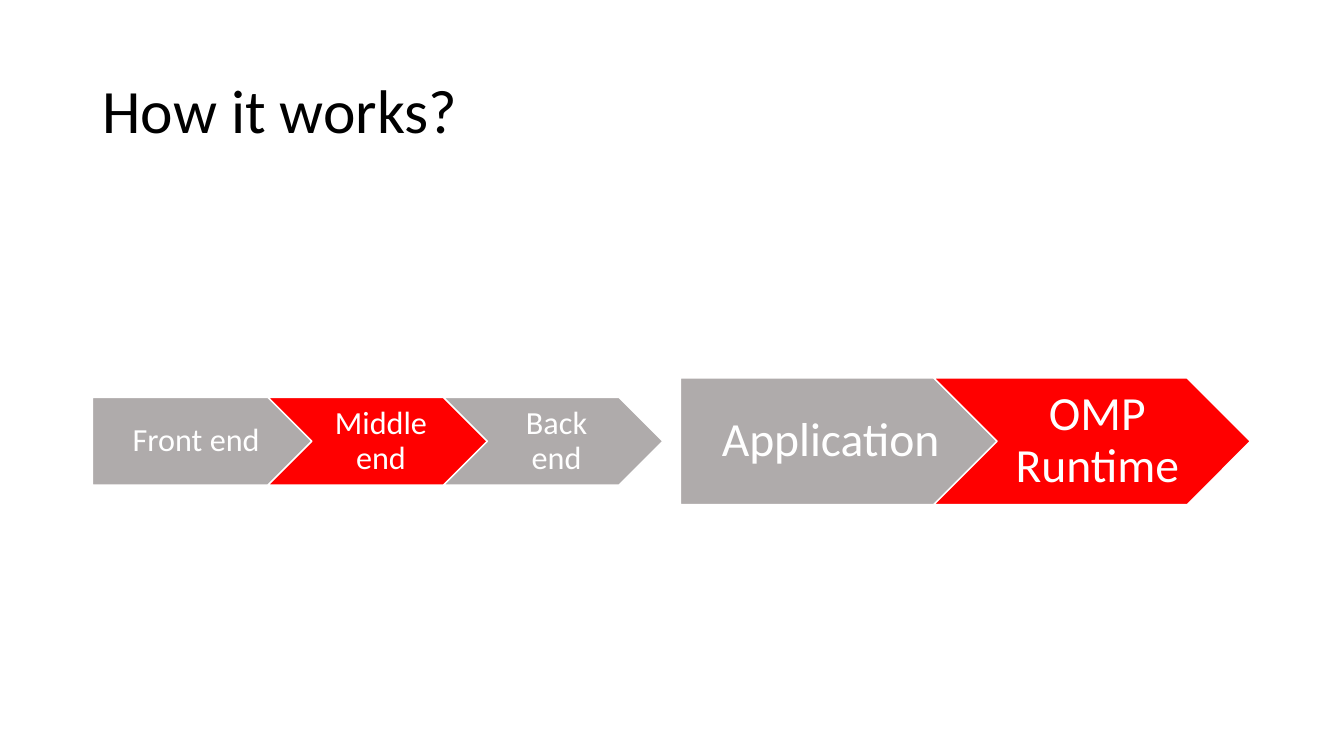
"""Build the slide that shows the compiler stages and the running program as two arrow chains."""
from pptx import Presentation
from pptx.dml.color import RGBColor
from pptx.enum.shapes import MSO_SHAPE
from pptx.enum.text import MSO_ANCHOR, MSO_AUTO_SIZE, PP_ALIGN
from pptx.util import Cm, Pt

COLOURS = {"stage": "AFABAB", "openmp": "FF0000", "light": "FFFFFF", "title": "000000"}
TITLE = "How it works?"
CHAINS = [
    {"left": 2.33, "width": 5.53, "size": 23, "inset": 0.085,
     "stages": [("Front end", "stage"), ("Middle end", "openmp"), ("Back end", "stage")]},
    {"left": 17.15, "width": 7.98, "size": 34, "inset": 0.13,
     "stages": [("Application", "stage"), ("OMP Runtime", "openmp")]},
]
CHAIN_MIDDLE = 11.12
HEIGHT_RATIO = 0.4
STEP_RATIO = 0.8


def colour(name):
    return RGBColor.from_string(COLOURS[name])


def write(frame, text, size, ink, align=PP_ALIGN.CENTER, space_after=0, insets=None):
    frame.word_wrap = True
    frame.auto_size = MSO_AUTO_SIZE.NONE
    frame.vertical_anchor = MSO_ANCHOR.MIDDLE
    if insets:
        (frame.margin_left, frame.margin_top,
         frame.margin_right, frame.margin_bottom) = map(Cm, insets)
    paragraph = frame.paragraphs[0]
    paragraph.alignment = align
    paragraph.line_spacing = 0.9
    paragraph.space_after = Pt(space_after)
    run = paragraph.add_run()
    run.text = text
    run.font.name = "Calibri"
    run.font.size = Pt(size)
    run.font.color.rgb = colour(ink)


def add_chain(slide, left, width, size, inset, stages):
    chain = slide.shapes.add_group_shape()
    height = width * HEIGHT_RATIO
    for position, (label, fill) in enumerate(stages):
        outline = MSO_SHAPE.CHEVRON if position else MSO_SHAPE.PENTAGON
        stage = chain.shapes.add_shape(
            outline, Cm(left + position * width * STEP_RATIO),
            Cm(CHAIN_MIDDLE - height / 2), Cm(width), Cm(height))
        stage.shadow.inherit = False
        stage.fill.solid()
        stage.fill.fore_color.rgb = colour(fill)
        stage.line.color.rgb = colour("light")
        stage.line.width = Pt(1)
        before = inset * (3 if position else 4)
        write(stage.text_frame, label, size, "light",
              insets=(before, inset * 2, inset, inset * 2))


presentation = Presentation()
presentation.slide_width, presentation.slide_height = Cm(33.87), Cm(19.05)
slide = presentation.slides.add_slide(presentation.slide_layouts[5])

heading = slide.shapes.title
heading.left, heading.top, heading.width, heading.height = map(Cm, (2.33, 1.01, 29.21, 3.68))
write(heading.text_frame, TITLE, 44, "title", align=PP_ALIGN.LEFT)

for chain in CHAINS:
    add_chain(slide, **chain)

presentation.save("out.pptx")
